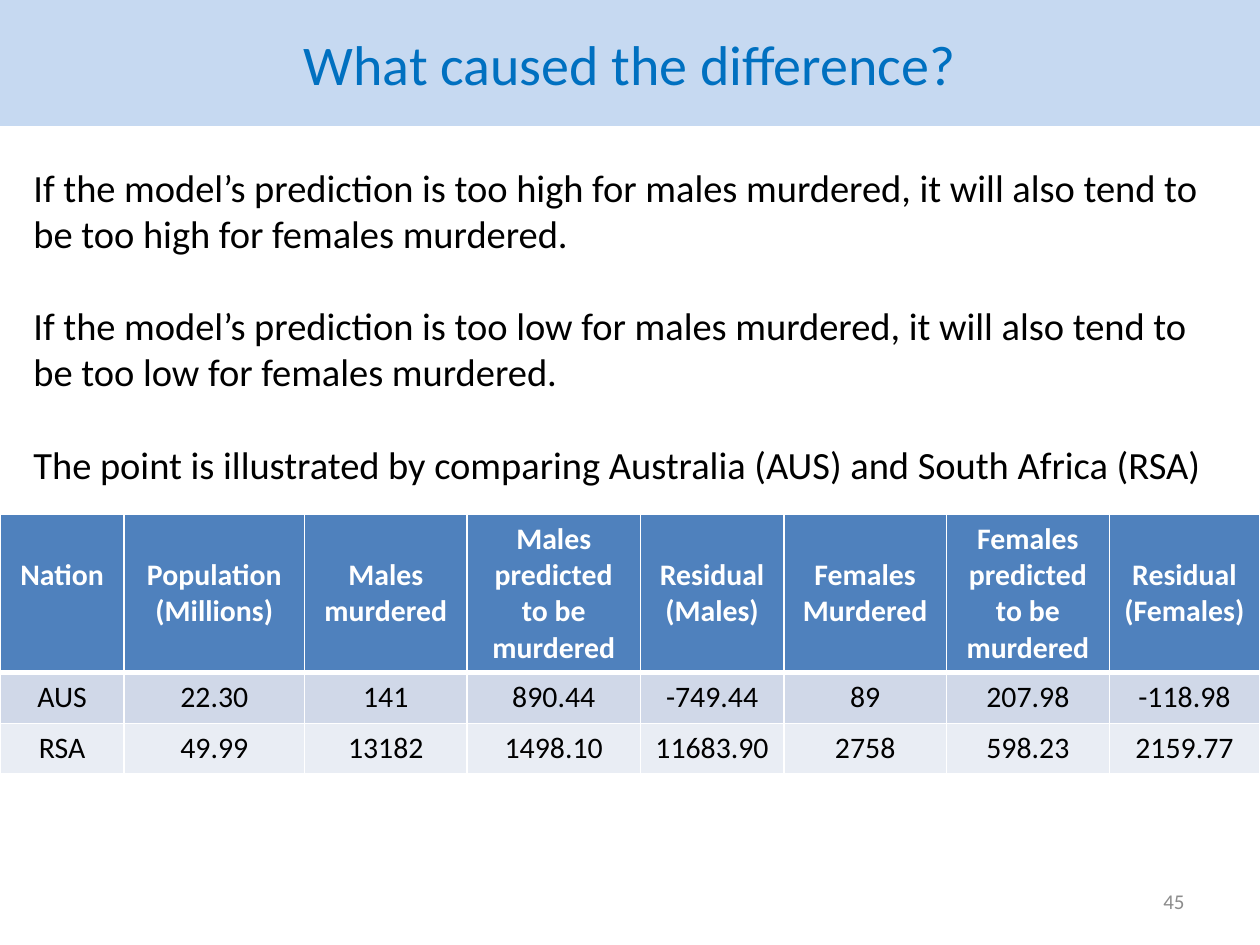
from dataclasses import dataclass

from lxml.etree import SubElement
from pptx import Presentation
from pptx.dml.color import RGBColor
from pptx.enum.shapes import MSO_SHAPE
from pptx.enum.text import MSO_ANCHOR as ANCHOR, PP_ALIGN as ALIGN
from pptx.oxml.ns import qn
from pptx.util import Pt

FONT = "Calibri"
CELL_SIZE, CELL_LINE = 17, 20.75
MARGIN_X, MARGIN_Y = 7.2, 3.6


@dataclass
class Column:
    width: float
    header: str
    aus: str
    rsa: str
    top_lines: int = 1  # empty lines above the header


@dataclass
class Row:
    height: float
    fill: str
    color: str
    bold: bool = False
    rule_below: float = 1


@dataclass
class Box:
    left: float
    top: float
    width: float
    height: float
    paragraphs: list[str]
    size: float
    color: str
    align: ALIGN = ALIGN.LEFT
    anchor: ANCHOR = ANCHOR.TOP
    fill: str | None = None
    gap: float = 0


COLUMNS = [
    Column(71, "Nation", "AUS", "RSA"),
    Column(103, "Population\v(Millions)", "22.30", "49.99"),
    Column(93, "Males\nmurdered", "141", "13182"),
    Column(99, "Males\npredicted to be murdered", "890.44", "1498.10", 0),
    Column(82, "Residual\n(Males)", "-749.44", "11683.90"),
    Column(93, "Females\nMurdered", "89", "2758"),
    Column(93, "Females\npredicted to be murdered", "207.98", "598.23", 0),
    Column(86, "Residual\v(Females)", "-118.98", "2159.77"),
]
ROWS = [
    Row(90, "4F81BD", "FFFFFF", True, 3),
    Row(29, "D0D8E8", "000000"),
    Row(29, "E9EDF4", "000000"),
]
BOXES = [
    Box(0, 0, 720, 72, ["What caused the difference?"], 32, "0070C0",
        ALIGN.CENTER, ANCHOR.MIDDLE, "C6D9F1"),
    Box(12, 90, 696, 220, [
        "If the model’s prediction is too high for males murdered, "
        "it will also tend to be too high for females murdered.",
        "If the model’s prediction is too low for males murdered, "
        "it will also tend to be too low for females murdered.",
        "The point is illustrated by comparing Australia (AUS) and South Africa (RSA)",
    ], 22, "000000", gap=26.4),
    Box(516, 500.5, 168, 28.75, ["45"], 12, "8C8C8C", ALIGN.RIGHT, ANCHOR.MIDDLE),
]


def rgb(value: str) -> RGBColor:
    return RGBColor.from_string(value)


def write(tf, text: str, size: float, color: str, align: ALIGN,
          bold: bool = False, gap: float = 0) -> None:
    tf.text = text
    for i, p in enumerate(tf.paragraphs):
        p.alignment = align
        if i and gap:
            p.space_before = Pt(gap)
        for r in p.runs:
            for name, value in {"name": FONT, "size": Pt(size), "bold": bold}.items():
                setattr(r.font, name, value)
            r.font.color.rgb = rgb(color)


def draw_box(s, box: Box) -> None:
    place = [Pt(v) for v in (box.left, box.top, box.width, box.height)]
    if box.fill:
        sp = s.shapes.add_shape(MSO_SHAPE.RECTANGLE, *place)
        sp.shadow.inherit = False
        sp.fill.solid()
        sp.fill.fore_color.rgb = rgb(box.fill)
        sp.line.fill.background()
    else:
        sp = s.shapes.add_textbox(*place)
    tf = sp.text_frame
    write(tf, "\n".join(box.paragraphs), box.size, box.color, box.align, gap=box.gap)
    form = {"word_wrap": True, "vertical_anchor": box.anchor,
            "margin_left": Pt(MARGIN_X), "margin_right": Pt(MARGIN_X),
            "margin_top": Pt(MARGIN_Y), "margin_bottom": Pt(MARGIN_Y)}
    for name, value in form.items():
        setattr(tf, name, value)


def add_border(cell, side: str, width: float) -> None:
    ln = SubElement(cell._tc.get_or_add_tcPr(), qn(f"a:ln{side}"), w=str(Pt(width)))
    SubElement(SubElement(ln, qn("a:solidFill")), qn("a:srgbClr"), val="FFFFFF")


def draw_table(s, left: float, top: float) -> None:
    width = sum(c.width for c in COLUMNS)
    height = sum(r.height for r in ROWS)
    table = s.shapes.add_table(len(ROWS), len(COLUMNS), Pt(left), Pt(top),
                               Pt(width), Pt(height)).table
    for i, row in enumerate(ROWS):
        table.rows[i].height = Pt(row.height)
        above = ROWS[i - 1].rule_below if i else 1
        for j, col in enumerate(COLUMNS):
            table.columns[j].width = Pt(col.width)
            cell = table.cell(i, j)
            for side, rule in zip("LRTB", (1, 1, above, row.rule_below)):
                add_border(cell, side, rule)
            cell.fill.solid()
            cell.fill.fore_color.rgb = rgb(row.fill)
            text = (col.header, col.aus, col.rsa)[i]
            write(cell.text_frame, text, CELL_SIZE, row.color, ALIGN.CENTER, row.bold)
            if i == 0:
                cell.margin_top = Pt(MARGIN_Y + col.top_lines * CELL_LINE)


def main() -> None:
    prs = Presentation()
    prs.slide_width, prs.slide_height = Pt(720), Pt(540)
    s = prs.slides.add_slide(prs.slide_layouts[6])
    draw_table(s, 0, 294)
    for box in BOXES:
        draw_box(s, box)
    prs.save("out.pptx")


if __name__ == "__main__":
    main()
